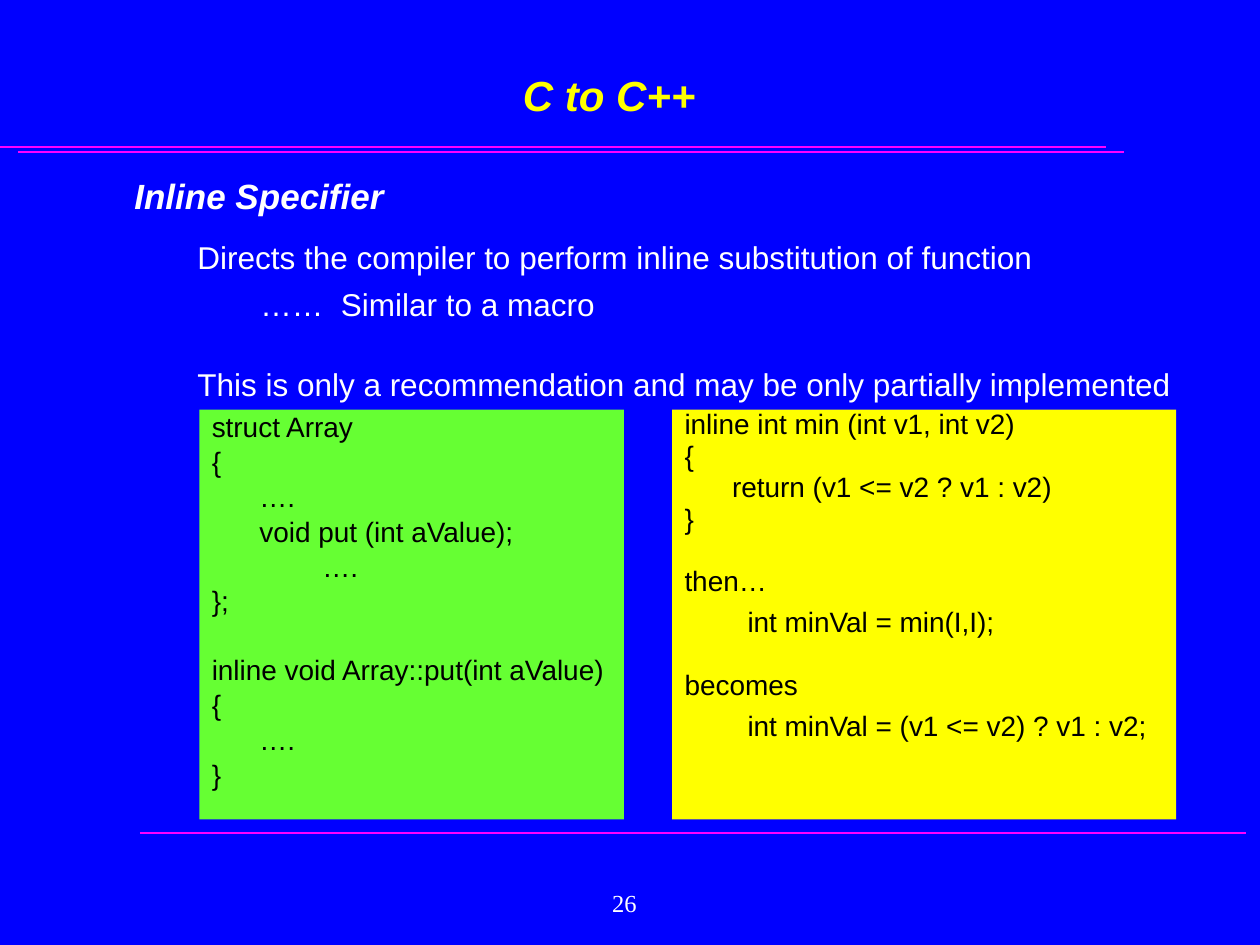
from lxml.etree import SubElement
from pptx import Presentation
from pptx.dml.color import RGBColor
from pptx.enum.shapes import MSO_CONNECTOR, MSO_SHAPE
from pptx.enum.text import MSO_ANCHOR as ANCHOR, PP_ALIGN as ALIGN
from pptx.oxml.ns import qn
from pptx.util import Cm, Pt

BLUE = RGBColor(0x00, 0x00, 0xFF)
MAGENTA = RGBColor(0xFF, 0x00, 0xFF)
YELLOW = RGBColor(0xFF, 0xFF, 0x00)
GREEN = RGBColor(0x66, 0xFF, 0x33)
WHITE = RGBColor(0xFF, 0xFF, 0xFF)
BLACK = RGBColor(0x00, 0x00, 0x00)

# Left margin and first-line indent of each outline level, in cm
LEVELS = [(0.96, -0.96), (2.06, -0.79), (3.18, -0.64)]
TAB_STEP = 2.54
CODE_GAP = 4.6

ARRAY_CODE = [
    "struct Array", "{", "\t….", "\tvoid put (int aValue);", "\t\t….", "};", "",
    "inline void Array::put(int aValue)", "{", "\t….", "}",
]
MIN_CODE = [
    "inline int min (int v1, int v2)", "{", "\treturn (v1 <= v2 ? v1 : v2)", "}", "",
    "then…", (1, "int minVal = min(I,I);"), "",
    "becomes", (1, "int minVal = (v1 <= v2) ? v1 : v2;"),
]


def set_outline(p, level):
    """Indent a paragraph to its level and give it evenly spaced tab stops."""
    pPr = p._p.get_or_add_pPr()
    margin, indent = LEVELS[level]
    pPr.set("marL", str(Cm(margin)))
    pPr.set("indent", str(Cm(indent)))
    tabs = SubElement(pPr, qn("a:tabLst"))
    for i in range(8):
        SubElement(tabs, qn("a:tab"), pos=str(Cm(i * TAB_STEP)), algn="l")
    p.level = level


def add_text(p, text, color, size, level=None, name="Arial", bold=False, italic=False, **spacing):
    if level is not None:
        set_outline(p, level)
    for key, value in spacing.items():
        setattr(p, key, value)
    r = p.add_run()
    r.text = text
    font = {"name": name, "size": Pt(size), "bold": bold, "italic": italic}
    for key, value in font.items():
        setattr(r.font, key, value)
    r.font.color.rgb = color


def add_box(s, box, anchor=ANCHOR.TOP, fill=None):
    """Add a wrapping text frame, on a filled rectangle if a fill is given."""
    size = [Cm(v) for v in box]
    if fill is None:
        sp = s.shapes.add_textbox(*size)
    else:
        sp = s.shapes.add_shape(MSO_SHAPE.RECTANGLE, *size)
        sp.shadow.inherit = False
        sp.fill.solid()
        sp.fill.fore_color.rgb = fill
        sp.line.fill.background()
    tf = sp.text_frame
    tf.word_wrap = True
    tf.vertical_anchor = anchor
    return tf


def add_rule(s, left, top, width=22.3):
    line = s.shapes.add_connector(
        MSO_CONNECTOR.STRAIGHT, Cm(left), Cm(top), Cm(left + width), Cm(top))
    line.line.color.rgb = MAGENTA
    line.line.width = Pt(1)
    SubElement(line._element.spPr, qn("a:effectLst"))


def add_title(s, box):
    tf = add_box(s, box, ANCHOR.BOTTOM)
    add_text(tf.paragraphs[0], "C to C++", YELLOW, 24, bold=True, italic=True,
             alignment=ALIGN.CENTER)


def add_body(s, box):
    tf = add_box(s, box)
    add_text(tf.paragraphs[0], "Inline Specifier", WHITE, 20, 0, bold=True, italic=True,
             space_after=Pt(7))
    lines = [
        (1, "Directs the compiler to perform inline substitution of function",
         {"space_before": Pt(5.2)}),
        (2, "……  Similar to a macro", {"space_before": Pt(5.2)}),
        (1, "This is only a recommendation and may be only partially implemented",
         {"space_before": Pt(32), "line_spacing": 0.6}),
    ]
    for level, text, spacing in lines:
        add_text(tf.add_paragraph(), text, WHITE, 18, level, **spacing)


def add_code(s, box, fill, lines, line_spacing):
    """Fill a panel with code; an empty line becomes space before the next."""
    tf = add_box(s, box, fill=fill)
    p, gap = tf.paragraphs[0], 0
    for line in lines:
        if not line:
            gap += CODE_GAP + 18.4 * line_spacing
            continue
        level, text = line if isinstance(line, tuple) else (0, line)
        p = p or tf.add_paragraph()
        add_text(p, text, BLACK, 16, level, alignment=ALIGN.LEFT,
                 space_before=Pt(gap), line_spacing=1.0 if level else line_spacing)
        p, gap = None, CODE_GAP


def add_page_number(s, box):
    tf = add_box(s, box, ANCHOR.MIDDLE)
    add_text(tf.paragraphs[0], "26", WHITE, 14, name="Times New Roman",
             alignment=ALIGN.CENTER)


def main():
    prs = Presentation()
    prs.slide_width, prs.slide_height = Cm(25.4), Cm(19.05)
    s = prs.slides.add_slide(prs.slide_layouts[6])
    s.background.fill.solid()
    s.background.fill.fore_color.rgb = BLUE

    # Double rule under the title, single rule above the footer
    for left, top in [(0, 2.96), (0.36, 3.07), (2.82, 16.79)]:
        add_rule(s, left, top)

    add_title(s, (1.48, 0.85, 21.6, 1.7))
    add_body(s, (2.46, 3.39, 21.46, 4.65))

    # Code panels
    add_code(s, (4.02, 8.26, 8.56, 8.26), GREEN, ARRAY_CODE, 0.8)
    add_code(s, (13.55, 8.26, 10.16, 8.26), YELLOW, MIN_CODE, 0.7)

    add_page_number(s, (11.64, 17.57, 1.9, 1.27))
    prs.save("out.pptx")


if __name__ == "__main__":
    main()
